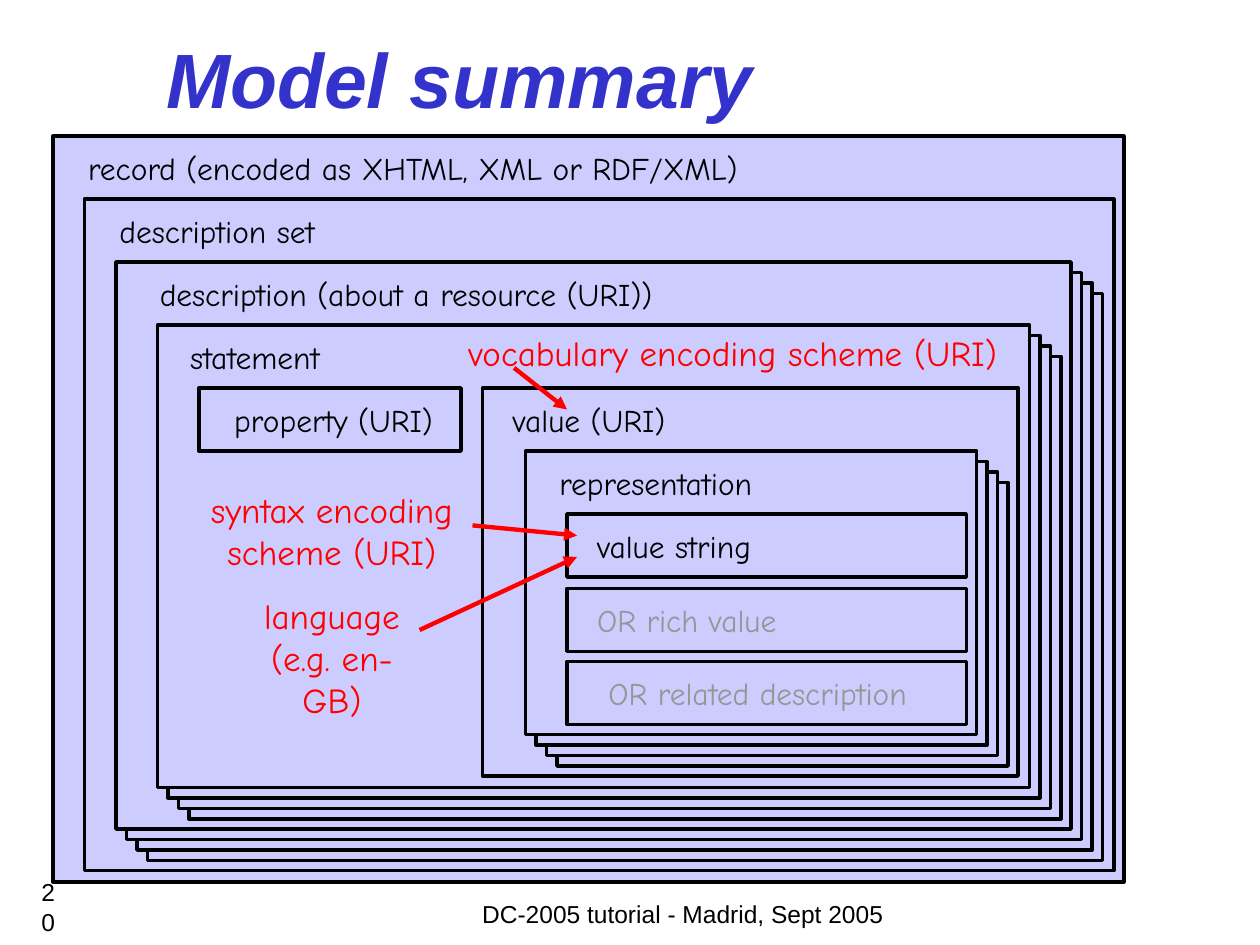
"""Build the model summary slide: nested boxes with red callouts."""
import pptx
import pptx.dml.color
import pptx.enum.shapes
import pptx.enum.text
import pptx.oxml.ns
import pptx.util
from lxml import etree
from pptx.util import Inches, Pt

BLACK, GREY, RED, BLUE, LILAC = "000000", "969696", "FF0000", "3333CC", "CCCCFF"
HAND, SANS = "Comic Neue", "Arial"
LEFT, CENTER, RIGHT = (getattr(pptx.enum.text.PP_ALIGN, name) for name in ("LEFT", "CENTER", "RIGHT"))
STACK_STEP = 1 / 12
LABEL_DROP = 0.085

# box left, top, width, height; boxes in stack; label, label left, label width, colour
BOXES = [
    ((0.42, 1.08, 8.5, 5.92), 1, "record (encoded as XHTML, XML or RDF/XML)", 0.6, 5.39, BLACK),
    ((0.67, 1.58, 8.17, 5.33), 1, "description set", 0.85, 1.76, BLACK),
    ((0.92, 2.08, 7.58, 4.5), 4, "description (about a resource (URI))", 1.17, 4.13, BLACK),
    ((1.25, 2.58, 6.92, 3.67), 4, "statement", 1.41, 1.25, BLACK),
    ((1.58, 3.08, 2.08, 0.5), 1, "property (URI)", 1.76, 1.78, BLACK),
    ((3.83, 3.08, 4.25, 3.08), 1, "value (URI)", 3.97, 1.42, BLACK),
    ((4.17, 3.58, 3.58, 2.25), 4, "representation", 4.34, 1.75, BLACK),
    ((4.5, 4.08, 3.17, 0.5), 1, "value string", 4.64, 1.43, BLACK),
    ((4.5, 4.67, 3.17, 0.5), 1, "OR rich value", 4.64, 1.63, GREY),
    ((4.5, 5.25, 3.17, 0.5), 1, "OR related description", 4.73, 2.59, GREY),
]
# text, text place, alignment, arrow start, arrow end
CALLOUTS = [
    ("vocabulary encoding scheme (URI)", (3.62, 2.58, 4.4, 0.44), LEFT, (4.08, 2.92), (4.5, 3.25)),
    ("syntax encoding\nscheme (URI)", (1.57, 3.83, 2.13, 0.77), CENTER, (3.75, 4.17), (4.58, 4.25)),
    ("language\n(e.g. en-GB)", (1.82, 4.67, 1.63, 0.77), CENTER, (3.33, 5), (4.58, 4.42)),
]
FOOTERS = [
    ("DC-2005 tutorial - Madrid, Sept 2005", (3.42, 7.17, 4, 0.17), CENTER),
    ("20", (0.23, 7.03, 0.25, 0.33), RIGHT),
]


def color(value):
    return pptx.dml.color.RGBColor.from_string(value)


def add_text(slide, text, place, size, face, shade, align=LEFT, wrap=False, spacing=None):
    box = slide.shapes.add_textbox(*map(Inches, place))
    frame = box.text_frame
    frame.word_wrap = wrap
    if wrap:
        frame.vertical_anchor = pptx.enum.text.MSO_ANCHOR.MIDDLE
    para = frame.paragraphs[0]
    para.text = text
    para.alignment = align
    para.line_spacing = spacing
    para.font.size = Pt(size)
    para.font.name = face
    para.font.color.rgb = color(shade)
    return para


def add_box(slide, place):
    box = slide.shapes.add_shape(pptx.enum.shapes.MSO_SHAPE.RECTANGLE, *map(Inches, place))
    box.shadow.inherit = False
    box.fill.solid()
    box.fill.fore_color.rgb = color(LILAC)
    box.line.color.rgb = color(BLACK)
    box.line.width = Pt(2)


def add_arrow(slide, start, end):
    arrow = slide.shapes.add_connector(
        pptx.enum.shapes.MSO_CONNECTOR.STRAIGHT, *map(Inches, start + end))
    arrow.line.color.rgb = color(RED)
    arrow.line.width = Pt(2.5)
    properties = arrow.element.spPr
    line = properties.find(pptx.oxml.ns.qn("a:ln"))
    etree.SubElement(line, pptx.oxml.ns.qn("a:tailEnd"), type="triangle")
    etree.SubElement(properties, pptx.oxml.ns.qn("a:effectLst"))


def main():
    deck = pptx.Presentation()
    deck.slide_width, deck.slide_height = Inches(10), Inches(7.5)
    slide = deck.slides.add_slide(deck.slide_layouts[6])

    title = add_text(slide, "Model summary", (1.22, 0.2, 7.77, 0.83), 44, SANS, BLUE, wrap=True)
    title.font.bold = title.font.italic = True

    for (left, top, width, height), count, label, label_left, label_width, shade in BOXES:
        for layer in reversed(range(count)):
            shift = layer * STACK_STEP
            add_box(slide, (left + shift, top + shift, width, height))
        add_text(slide, label, (label_left, top + LABEL_DROP, label_width, 0.37),
                 18, HAND, shade, spacing=0.9)

    for text, place, align, start, end in CALLOUTS:
        add_text(slide, text, place, 20, HAND, RED, align)
        add_arrow(slide, start, end)

    for text, place, align in FOOTERS:
        add_text(slide, text, place, 14, SANS, BLACK, align, wrap=True)

    deck.save("out.pptx")


if __name__ == "__main__":
    main()
